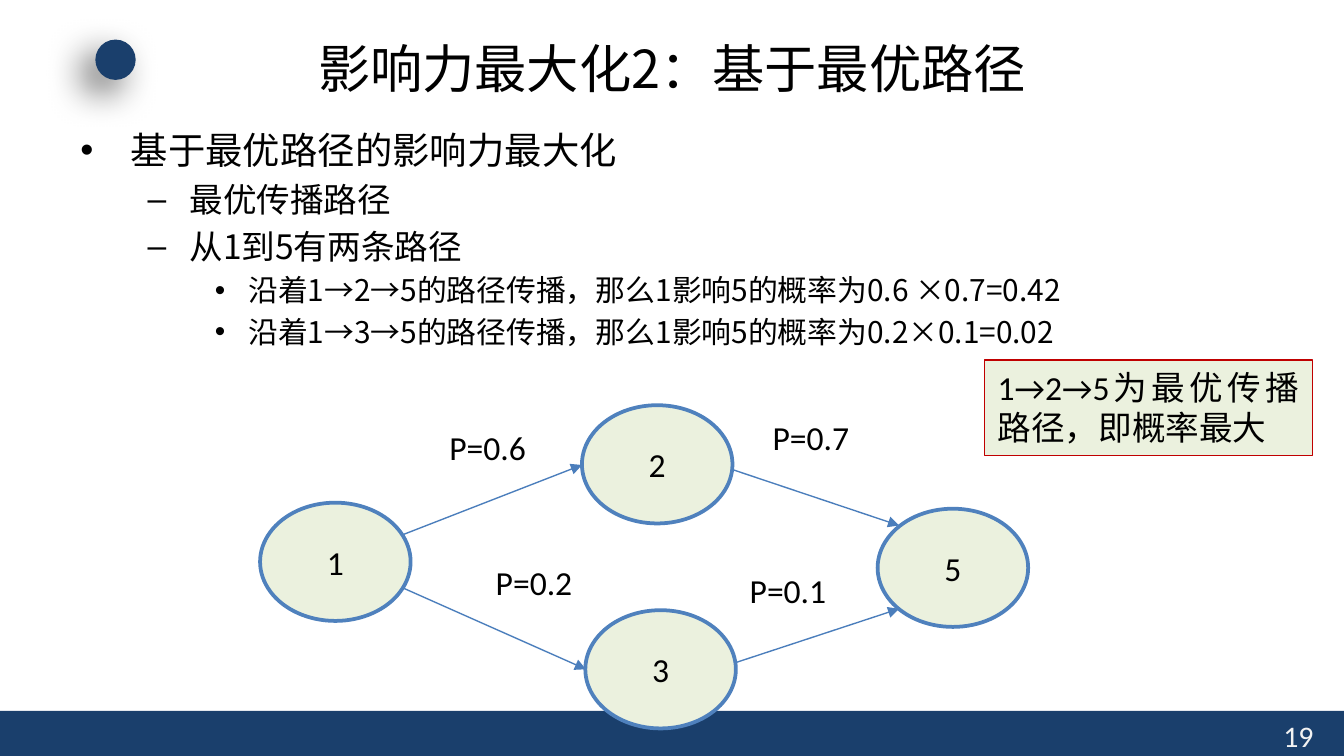
from lxml import etree
from pptx import Presentation
from pptx.dml.color import RGBColor
from pptx.enum.shapes import MSO_CONNECTOR, MSO_SHAPE
from pptx.enum.text import MSO_ANCHOR, MSO_AUTO_SIZE, PP_ALIGN
from pptx.oxml import parse_xml
from pptx.oxml.ns import nsdecls, qn
from pptx.util import Inches, Pt

COLORS = {"navy": "1A3F6C", "black": "000000", "pale": "F2F2F2", "node": "EBF1DE",
          "edge": "4B7EBC", "ring": "4F81BD", "red": "C00000"}
COLOR = {name: RGBColor.from_string(value) for name, value in COLORS.items()}
LATIN, CJK = "Calibri", "Noto Sans CJK SC"

deck = Presentation()
deck.slide_width = Inches(10)
deck.slide_height = deck.slide_width * 9 // 16
page = deck.slides.add_slide(deck.slide_layouts[6])
CELL = deck.slide_width / 100  # square grid, 100 columns wide


def grid(*cells):
    return [round(cell * CELL) for cell in cells]


def write(box, lines, size, font=LATIN, color="black", align=PP_ALIGN.LEFT):
    """Fill a box with lines and format every run, for Latin and Chinese letters."""
    box.text_frame.text = "\n".join(lines)
    for para in box.text_frame.paragraphs:
        para.alignment = align
        for span in para.runs:
            span.font.size, span.font.name = Pt(size), font
            span.font.color.rgb = COLOR[color]
            etree.SubElement(span.font._element, qn("a:ea"), typeface=CJK)


# Footer band with page number, and the dot beside the title
for kind, cells in [(MSO_SHAPE.RECTANGLE, (0, 52.9, 100, 3.35)), (MSO_SHAPE.OVAL, (7.1, 2.95, 3, 3))]:
    decor = page.shapes.add_shape(kind, *grid(*cells))
    decor.shadow.inherit = False
    decor.fill.solid()
    decor.fill.fore_color.rgb = COLOR["navy"]
    decor.line.fill.background()
effects = decor._element.spPr.find(qn("a:effectLst"))
effects.append(parse_xml(
    f'<a:outerShdw {nsdecls("a")} blurRad="{Pt(20)}" dist="{Pt(10)}" dir="{135 * 60000}" '
    f'algn="ctr" rotWithShape="0"><a:srgbClr val="{COLORS["black"]}"><a:alpha val="60000"/>'
    '</a:srgbClr></a:outerShdw>'))

number = page.shapes.add_textbox(*grid(94.5, 52.9, 5, 3))
number.text_frame.word_wrap = True
write(number, ["19"], 16, color="pale")

title = page.shapes.add_textbox(*grid(5, 2.25, 90, 5.5))
title.text_frame.word_wrap = True
title.text_frame.vertical_anchor = MSO_ANCHOR.MIDDLE
write(title, ["影响力最大化2：基于最优路径"], 28, CJK, align=PP_ALIGN.CENTER)

# Outline: each level has a size, a left margin, a hanging indent and a bullet
LEVELS = [(20, 3.75, 3.75, "•"), (18, 8.12, 3.12, "–"), (16, 12.5, 2.5, "•")]
OUTLINE = [
    (0, "基于最优路径的影响力最大化"),
    (1, "最优传播路径"),
    (1, "从1到5有两条路径"),
    (2, "沿着1→2→5的路径传播，那么1影响5的概率为0.6 ×0.7=0.42"),
    (2, "沿着1→3→5的路径传播，那么1影响5的概率为0.2×0.1=0.02"),
]
body = page.shapes.add_textbox(*grid(5, 8.96, 90, 43.1))
body.text_frame.word_wrap = True
write(body, [line for _, line in OUTLINE], 20, CJK)
for index, (para, (level, _)) in enumerate(zip(body.text_frame.paragraphs, OUTLINE)):
    size, margin, hanging, bullet = LEVELS[level]
    para.level = level
    props = para._p.get_or_add_pPr()
    props.set("marL", str(round(margin * CELL)))
    props.set("indent", str(round(-hanging * CELL)))
    etree.SubElement(props, qn("a:buFont"), typeface="Arial")
    etree.SubElement(props, qn("a:buChar"), char=bullet)
    if index:
        para.space_before = Pt(size * 0.2)
    para.runs[0].font.size = Pt(size)

# Propagation graph: edges lie beneath the nodes
EDGES = [(26.6, 41.1, 43.3, 34.6), (25.6, 41.8, 43.6, 49.8),
         (51.1, 33.8, 66.9, 39.1), (50.5, 50.7, 66.9, 45.3)]
for ends in EDGES:
    edge = page.shapes.add_connector(MSO_CONNECTOR.STRAIGHT, *grid(*ends))
    edge.line.color.rgb = COLOR["edge"]
    edge.line.width = Pt(0.75)
    etree.SubElement(edge.line._get_or_add_ln(), qn("a:tailEnd"), type="triangle")
    etree.SubElement(edge._element.spPr, qn("a:effectLst"))

NODES = [("1", 19.35, 37.4), ("2", 43.3, 30.15), ("3", 43.55, 45.4), ("5", 65.3, 37.85)]
for name, left, top in NODES:
    node = page.shapes.add_shape(MSO_SHAPE.OVAL, *grid(left, top, 11.2, 8.8))
    node.shadow.inherit = False
    node.fill.solid()
    node.fill.fore_color.rgb = COLOR["node"]
    node.line.color.rgb = COLOR["ring"]
    node.line.width = Pt(2)
    node.text_frame.vertical_anchor = MSO_ANCHOR.MIDDLE
    write(node, [name], 18, align=PP_ALIGN.CENTER)

CHANCES = [("P=0.6", 32.45, 31.3), ("P=0.7", 56.5, 30.55), ("P=0.1", 54.8, 41.9), ("P=0.2", 35.9, 41.35)]
for chance, left, top in CHANCES:
    label = page.shapes.add_textbox(*grid(left, top, 8.3, 4))
    label.text_frame.word_wrap = False
    label.text_frame.auto_size = MSO_AUTO_SIZE.SHAPE_TO_FIT_TEXT
    write(label, [chance], 18)

# Conclusion
callout = page.shapes.add_shape(MSO_SHAPE.RECTANGLE, *grid(73.25, 26.8, 24.4, 7.1))
callout.shadow.inherit = False
callout.fill.solid()
callout.fill.fore_color.rgb = COLOR["node"]
callout.line.color.rgb = COLOR["red"]
callout.line.width = Pt(0.75)
callout.text_frame.word_wrap = True
callout.text_frame.vertical_anchor = MSO_ANCHOR.TOP
callout.text_frame.auto_size = MSO_AUTO_SIZE.SHAPE_TO_FIT_TEXT
write(callout, ["1→2→5为最优传播路径，即概率最大"], 18, align=PP_ALIGN.JUSTIFY)

deck.save("out.pptx")
